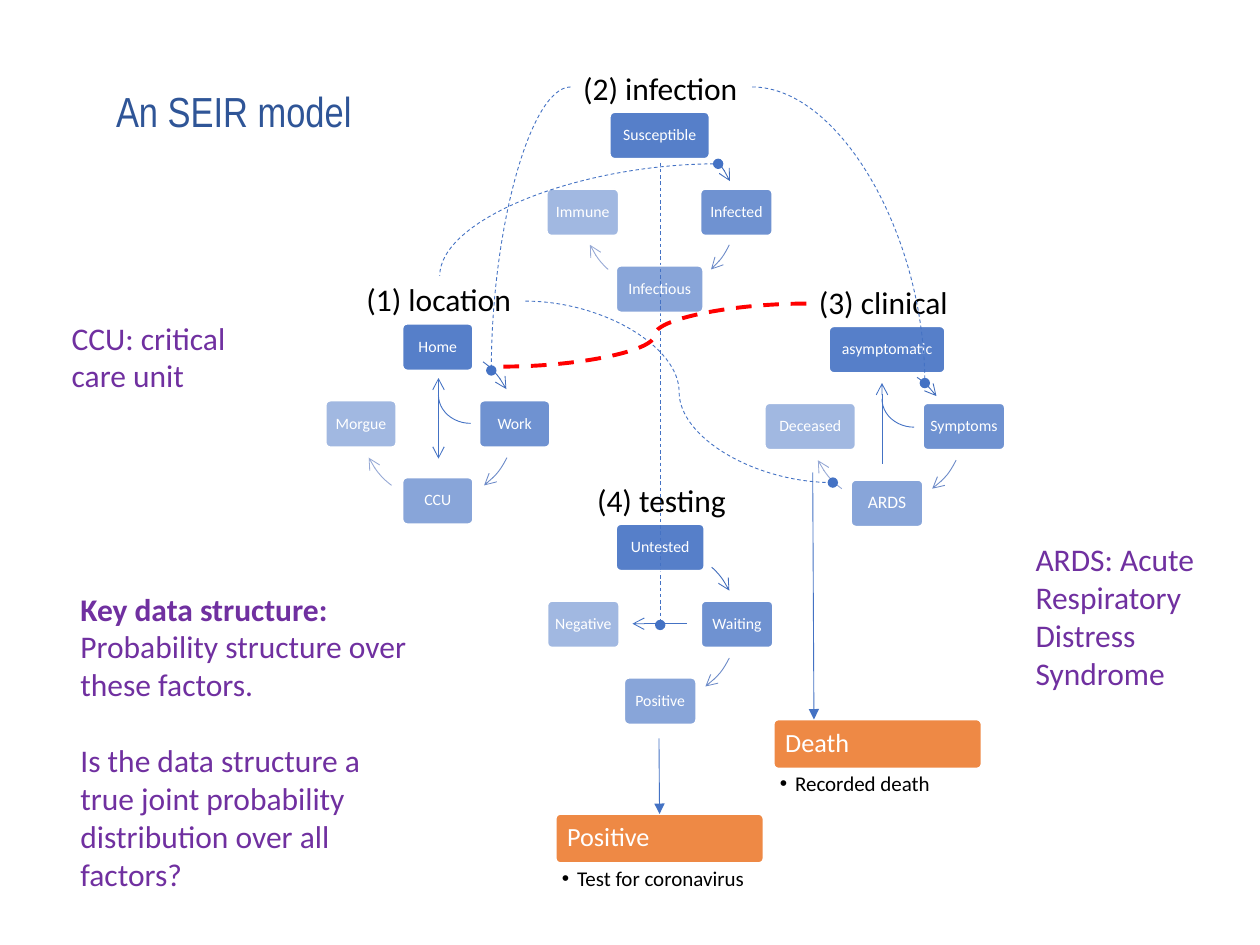
from pptx import Presentation
from pptx.dml.color import RGBColor
from pptx.enum.dml import MSO_LINE
from pptx.enum.shapes import MSO_CONNECTOR as Link, MSO_SHAPE as Form
from pptx.enum.text import MSO_ANCHOR as Anchor, MSO_AUTO_SIZE as Fit, PP_ALIGN as Align
from pptx.oxml.ns import qn
from pptx.oxml.xmlchemy import OxmlElement as Node
from pptx.util import Inches, Pt

BLUE, RUST, PLUM, RED = "4472C4", "ED7D31", "7030A0", "FF0000"
WHITE, BLACK, NAVY = "FFFFFF", "000000", "2F5597"
TINTS = "416DBB", "6C8AC8", "97A9D5"
SHADES = 90, 77, 63, 50
STEP = 6.1


def hue(code):
    return RGBColor.from_string(code)


def cells(*nums):
    return [Inches(num / 10) for num in nums]


class Sketch:
    """Draw styled elements on a slide with a grid of 100 columns and 75 rows."""

    def __init__(self, slide, font="Calibri"):
        self.slide, self.font = slide, font
        self.shapes = slide.shapes

    def run(self, para, text, size, tint, bold=False, font=None):
        run = para.add_run()
        run.text = text
        run.font.name, run.font.size = font or self.font, Pt(size)
        run.font.bold, run.font.color.rgb = bold, hue(tint)

    def place(self, shape, *area):
        shape.left, shape.top, shape.width, shape.height = cells(*area)
        shape.text_frame.auto_size = Fit.NONE
        return shape.text_frame

    def title(self, text, *area):
        frame = self.place(self.shapes.title, *area)
        frame.vertical_anchor = Anchor.MIDDLE
        para = frame.paragraphs[0]
        para.alignment = Align.CENTER
        self.run(para, text, 24, NAVY, font="Arial Narrow")

    def bullet(self, idx, text, *area):
        frame = self.place(self.slide.placeholders[idx], *area)
        frame.margin_left, frame.margin_right = cells(0.5, 1.2)
        frame.margin_top = frame.margin_bottom = Inches(0.02)
        para = frame.paragraphs[0]
        para.space_before, para.line_spacing = Pt(0), 0.9
        props = para._p.get_or_add_pPr()
        props.set("marL", str(Inches(0.12)))
        props.set("indent", str(-Inches(0.12)))
        self.run(para, text, 12, BLACK)

    def text(self, parts, *area, tint=PLUM, wrap=True):
        frame = self.shapes.add_textbox(*cells(*area)).text_frame
        frame.word_wrap = wrap
        for num, (words, bold, gap) in enumerate(parts):
            para = frame.add_paragraph() if num else frame.paragraphs[0]
            para.space_before = Pt(gap)
            self.run(para, words, 18, tint, bold)

    def box(self, text, *area, fill=BLUE, alpha=90, size=9, side=Align.CENTER, pad=0.2):
        shape = self.shapes.add_shape(Form.ROUNDED_RECTANGLE, *cells(*area))
        shape.adjustments[0] = 0.1
        shape.shadow.inherit = False
        shape.fill.solid()
        shape.fill.fore_color.rgb = hue(fill)
        veil = Node("a:alpha")
        veil.set("val", str(alpha * 1000))
        shape.element.spPr.find(qn("a:solidFill"))[0].append(veil)
        shape.line.color.rgb, shape.line.width = hue(WHITE), Pt(1)
        frame = shape.text_frame
        frame.word_wrap, frame.vertical_anchor = True, Anchor.MIDDLE
        frame.margin_left = frame.margin_right = Inches(pad / 10)
        frame.margin_top = frame.margin_bottom = 0
        para = frame.paragraphs[0]
        para.alignment, para.line_spacing = side, 0.9
        self.run(para, text, size, WHITE)
        return shape

    def pen(self, shape, tint, width=0.5, dash=False, head=None, tail=None):
        shape.line.color.rgb, shape.line.width = hue(tint), Pt(width)
        if dash:
            shape.line.dash_style = MSO_LINE.DASH
        edge = shape.element.spPr.find(qn("a:ln"))
        for tag, kind in (("a:headEnd", head), ("a:tailEnd", tail)):
            if kind:
                tip = Node(tag)
                tip.set("type", kind)
                edge.append(tip)

    def line(self, *ends, tint=BLUE, kind=Link.STRAIGHT, bend=False, **style):
        wire = self.shapes.add_connector(kind, *cells(*ends))
        self.pen(wire, tint, **style)
        wire.element.spPr.append(Node("a:effectLst"))
        if bend:
            wire.element.spPr.find(qn("a:prstGeom")).set("prst", "curvedConnector2")
        return wire

    def arc(self, mid_x, mid_y, wide, high, start, stop, tint=BLUE, tail=None):
        area = mid_x - wide / 2, mid_y - high / 2, wide, high
        shape = self.shapes.add_shape(Form.ARC, *cells(*area))
        for num, angle in enumerate((start, stop)):
            shape.adjustments[num] = angle % 360 * 0.6
        shape.shadow.inherit = False
        shape.fill.background()
        self.pen(shape, tint, tail=tail)

    def ring(self, name, left, wide, mid_x, mid_y, nodes, arcs):
        self.text([(name, False, 0)], left, mid_y - 11.9, wide, 4, tint=BLACK, wrap=False)
        spots = (0, -1), (1, 0), (0, 1), (-1, 0)
        for (word, span), (col, row), shade in zip(nodes, spots, SHADES):
            self.box(word, mid_x + col * STEP - span / 2, mid_y + row * STEP - 1.85,
                     span, 3.7, alpha=shade, size=10 if word == "ARDS" else 9)
        for angles, tint in zip(arcs, TINTS):
            if angles:
                self.arc(mid_x, mid_y, 2 * STEP, 2 * STEP, *angles, tint=tint, tail="arrow")


RINGS = [
    ("(2) infection", 45.3, 14.4, 52.35, 16.85,
     [("Susceptible", 7.9), ("Infected", 5.7), ("Infectious", 6.9), ("Immune", 5.7)],
     [(-42, -24), (25, 48), (132, 155)]),
    ("(4) testing", 46.4, 12.4, 52.4, 49.55,
     [("Untested", 7), ("Waiting", 5.7), ("Positive", 5.7), ("Negative", 5.7)],
     [(-48, -26), (26, 54)]),
    ("(1) location", 28.1, 13.7, 34.75, 33.65,
     [("Home", 5.6), ("Work", 5.6), ("CCU", 5.6), ("Morgue", 5.6)],
     [(-54, -27), (26, 53), (127, 154)]),
    ("(3) clinical", 64, 12.4, 70.4, 33.85,
     [("asymptomatic", 9.2), ("Symptoms", 6.5), ("ARDS", 5.7), ("Deceased", 7.2)],
     [None, (26, 54), (126, 154)]),
]


def main():
    deck = Presentation()
    deck.slide_width, deck.slide_height = cells(100, 75)
    art = Sketch(deck.slides.add_slide(deck.slide_layouts[3]))
    art.title("An SEIR model", 4.7, 6.3, 27.7, 5)

    art.line(52.4, 12.9, 52.4, 49.6, dash=True, tail="oval")
    outcomes = [("Positive", "Test for coronavirus", 44.1, 64.6),
                ("Death", "Recorded death", 61.4, 57.1)]
    tiles = []
    for num, (head, item, left, top) in enumerate(outcomes, 1):
        tiles.append(art.box(head, left, top, 16.5, 3.9, fill=RUST, size=15,
                             side=Align.LEFT, pad=0.8))
        art.bullet(num, item, left, top + 4.1, 16.5, 2.7)
    art.line(64.5, 37.5, 64.6, 57.1, tail="triangle")
    art.line(52.3, 58.6, 52.4, 64.6, tail="triangle").end_connect(tiles[0], 0)

    for ring in RINGS:
        art.ring(*ring)
    art.arc(69.35, 35.05, 12.3, 12.3, -56, -36, tint=TINTS[0], tail="arrow")
    for mid_x, mid_y in ((37.35, 31.35), (72.55, 31.65)):
        art.arc(mid_x, mid_y, 5.1, 4.5, 90, 180)
    art.line(54.5, 49.5, 50.2, 49.5, tail="arrow")
    art.line(34.8, 36.4, 34.8, 30, head="arrow", tail="arrow")
    art.line(70, 36.8, 70, 30.4, tail="arrow")

    curve = dict(kind=Link.CURVE, dash=True)
    art.line(59.7, 6.9, 73.4, 30.4, bend=True, tail="oval", **curve)
    art.line(45.3, 6.9, 39, 29.4, bend=True, tail="oval", **curve)
    art.line(57, 13, 34.9, 21.9, bend=True, head="oval", **curve)
    art.line(41.7, 23.9, 66.1, 38.3, tail="oval", **curve)
    art.line(64, 24.1, 39.9, 29.1, tint=RED, width=2.25, **curve)

    art.text([("Key data structure:", True, 0),
              ("Probability structure over these factors.", False, 0),
              ("Is the data structure a true joint probability distribution over all factors?",
               False, 22)], 5.4, 46.3, 28.3, 25.2)
    art.text([("CCU: critical care unit", False, 0)], 4.7, 24.8, 14.8, 7.1)
    art.text([("ARDS: Acute Respiratory Distress Syndrome", False, 0)], 81.2, 42.4, 14.8, 13.1)
    deck.save("out.pptx")


if __name__ == "__main__":
    main()
